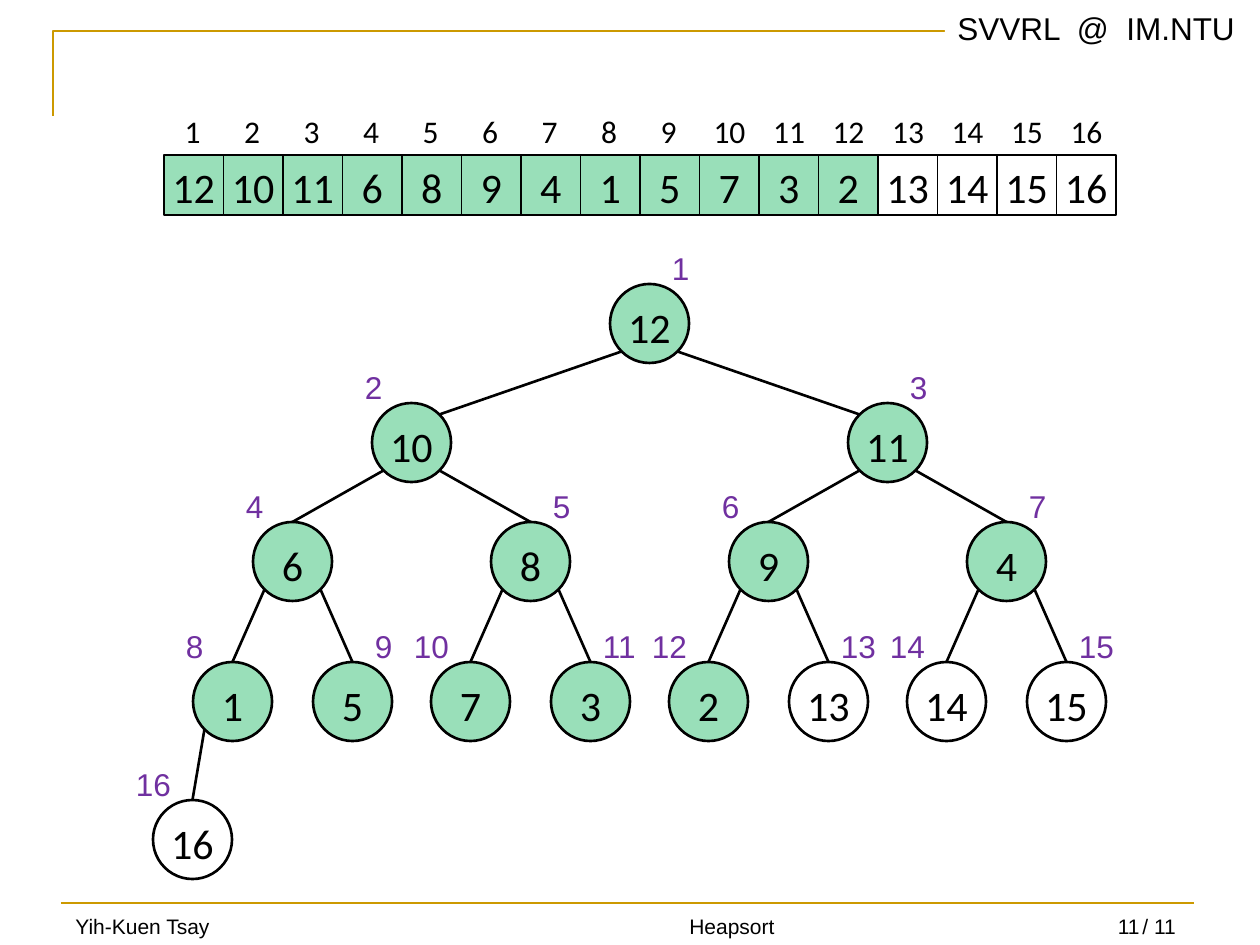
from lxml.etree import SubElement
from pptx import Presentation
from pptx.dml.color import RGBColor
from pptx.enum.shapes import MSO_CONNECTOR, MSO_SHAPE
from pptx.enum.text import MSO_ANCHOR, PP_ALIGN
from pptx.oxml.ns import qn
from pptx.util import Pt

PX = 914400 / 126
BLACK = RGBColor(0x00, 0x00, 0x00)
WHITE = RGBColor(0xFF, 0xFF, 0xFF)
GREEN = RGBColor(0x00, 0xB0, 0x50)
PURPLE = RGBColor(0x70, 0x30, 0xA0)
GOLD = RGBColor(0xCC, 0x99, 0x00)

HEAP = [12, 10, 11, 6, 8, 9, 4, 1, 5, 7, 3, 2, 13, 14, 15, 16]
HEAP_SIZE = 12
NODE = 79
LEVEL_TOPS = [0, 119, 238, 378, 516]
CHILD_OFFSETS = [238, 119, 60, 40]
LABEL = {"size": 18, "name": "Arial", "color": PURPLE}
INDEX = {"size": 18, "name": "Calibri", "color": BLACK}
VALUE = {"size": 24, "name": "Calibri", "color": BLACK}
HEADER = {"size": 18, "name": "Arial", "color": BLACK}
FOOTER = {"size": 12, "name": "Arial", "color": BLACK}


def emu(*lengths):
    """Turn lengths in px into EMU."""
    return [round(v * PX) for v in lengths]


def write(sp, text, font, align=PP_ALIGN.LEFT, anchor=MSO_ANCHOR.TOP, wrap=True):
    """Write one formatted run into a shape."""
    tf = sp.text_frame
    for key, value in {"word_wrap": wrap, "vertical_anchor": anchor}.items():
        setattr(tf, key, value)
    p = tf.paragraphs[0]
    p.alignment = align
    r = p.add_run()
    r.text = str(text)
    for key, value in {"size": Pt(font["size"]), "name": font["name"]}.items():
        setattr(r.font, key, value)
    r.font.color.rgb = font["color"]


def add_text(s, box, text, font, **layout):
    """Add a text box."""
    write(s.shapes.add_textbox(*emu(*box)), text, font, **layout)


def add_line(s, start, end, color):
    """Add a straight connector without a shadow."""
    c = s.shapes.add_connector(MSO_CONNECTOR.STRAIGHT, *emu(*start, *end))
    c.line.color.rgb = color
    c.line.width = Pt(1.5)
    SubElement(c._element.spPr, qn("a:effectLst"))
    return c


def add_item(s, kind, box, i, width):
    """Add heap item i, tinted while it still belongs to the heap."""
    sp = s.shapes.add_shape(kind, *emu(*box))
    sp.shadow.inherit = False
    sp.fill.solid()
    sp.fill.fore_color.rgb = GREEN if i <= HEAP_SIZE else WHITE
    color = sp._element.spPr.find(qn("a:solidFill"))[0]
    SubElement(color, qn("a:alpha"), val="40000")
    sp.line.color.rgb = BLACK
    sp.line.width = Pt(width)
    write(sp, HEAP[i - 1], VALUE, align=PP_ALIGN.CENTER, wrap=False)
    return sp


def add_frame(s, x, y, w, h):
    """Draw the corner rule, header and footer of the page."""
    builder = s.shapes.build_freeform(x + 53, y + 116, scale=PX)
    builder.add_line_segments([(x + 53, y + 31), (x + 1187, y + 31)], close=False)
    rule = builder.convert_to_shape()
    rule.shadow.inherit = False
    rule.fill.background()
    rule.line.color.rgb = GOLD
    rule.line.width = Pt(1.5)
    add_line(s, (x + 61, y + h - 42), (x + w - 66, y + h - 42), GOLD)

    header = s.shapes.add_shape(MSO_SHAPE.RECTANGLE, *emu(x + w - 315, y + 3, 315, 50))
    header.shadow.inherit = False
    header.fill.solid()
    header.fill.fore_color.rgb = WHITE
    header.line.fill.background()
    write(header, "SVVRL  @  IM.NTU", HEADER, anchor=MSO_ANCHOR.MIDDLE)

    top = y + h - 42
    add_text(s, (x + 1130, top + 4, 59, 38), "/ 11", FOOTER, wrap=False)
    for left, width, text, align in [
        (63, 311, "Yih-Kuen Tsay", PP_ALIGN.LEFT),
        (393, 678, "Heapsort", PP_ALIGN.CENTER),
        (1090, 62, "11", PP_ALIGN.RIGHT),
    ]:
        add_text(s, (x + left, top, width, 42), text, FOOTER,
                 align=align, anchor=MSO_ANCHOR.BOTTOM)


def add_array(s, x, y, w, h):
    """Draw the heap as a row of cells with indices above."""
    cell = w / len(HEAP)
    for i in range(1, len(HEAP) + 1):
        left = x + (i - 1) * cell
        add_item(s, MSO_SHAPE.RECTANGLE, (left, y, cell, h), i, 1)
        inset, width = (7, 43) if i < 10 else (1, 58)
        add_text(s, (left + inset, y - 49, width, 50), i, INDEX,
                 align=PP_ALIGN.CENTER, wrap=False)


def add_tree(s, x, y, w, h):
    """Draw the heap as a binary tree, with each child below its parent."""
    corner = NODE / 2 * 0.71
    centers = {}
    for i in range(1, len(HEAP) + 1):
        level = i.bit_length() - 1
        side = -1 if i > 1 and i % 2 == 0 else 1
        cx = x + w / 2
        if i > 1:
            cx = centers[i // 2][0] + side * CHILD_OFFSETS[level - 1]
        top = y + LEVEL_TOPS[level]
        cy = top + NODE / 2
        centers[i] = cx, cy
        node = add_item(s, MSO_SHAPE.OVAL, (cx - NODE / 2, top, NODE, NODE), i, 1.5)
        if i > 1:
            px, py = centers[i // 2]
            edge = add_line(s, (px + side * corner, py + corner),
                            (cx - side * corner, cy - corner), BLACK)
            if level > 1:
                edge.end_connect(node, 0)
        gap, width = (10, 49) if i < 10 else (0, 69)
        left = cx + gap if side > 0 else cx - gap - width
        add_text(s, (left, top - 41, width, 50), i, LABEL)


def main():
    """Build and save the heapsort slide."""
    prs = Presentation()
    prs.slide_width, prs.slide_height = emu(1260, 945)
    s = prs.slides.add_slide(prs.slide_layouts[6])
    add_frame(s, 0, 0, 1260, 945)
    add_array(s, 164, 155, 952, 60)
    add_tree(s, 193, 284, 913, 595)
    prs.save("out.pptx")


if __name__ == "__main__":
    main()
